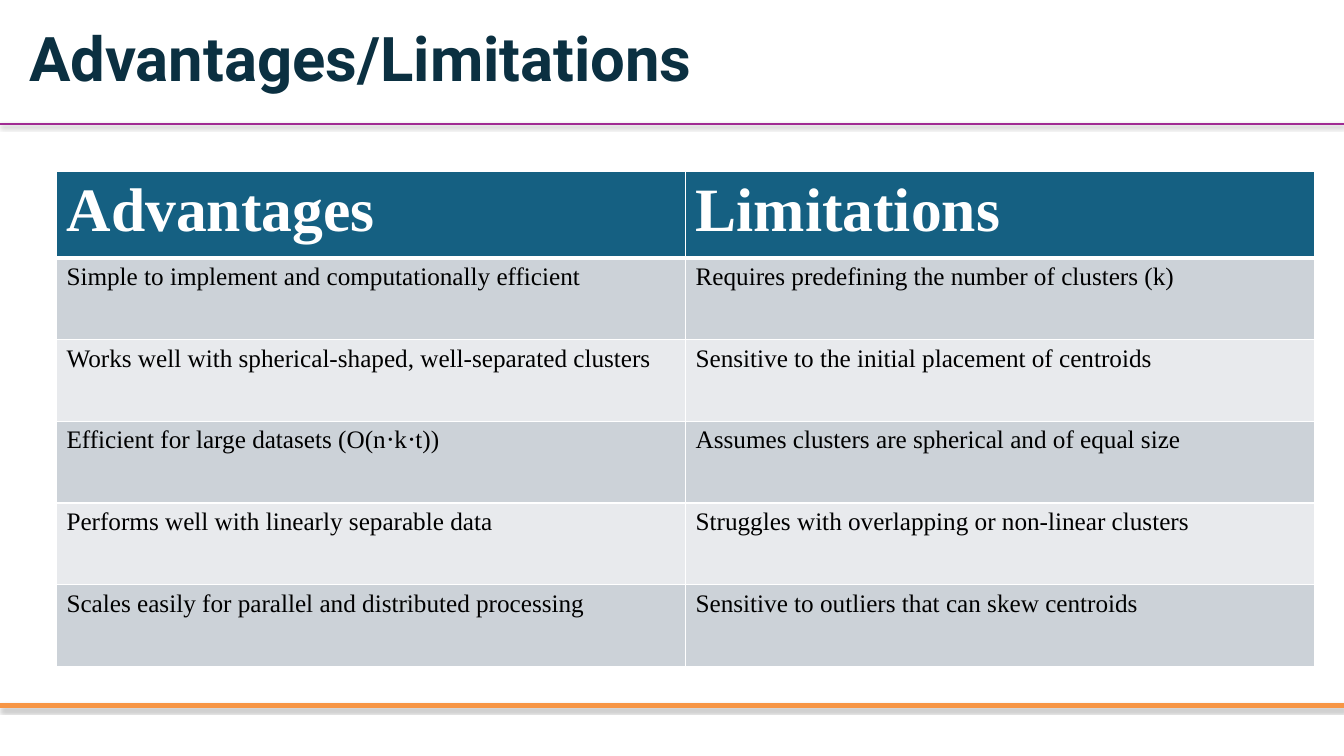
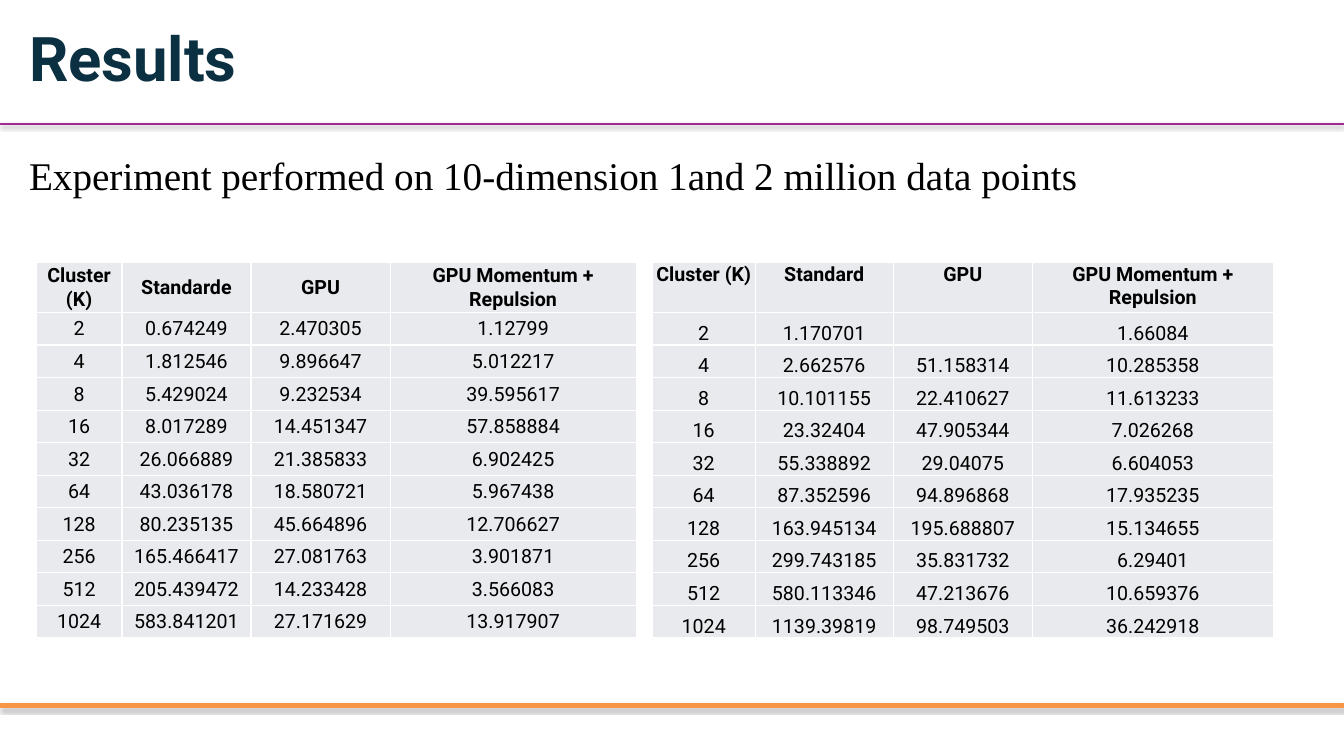
from lxml import etree
from pptx import Presentation
from pptx import util as u
from pptx.dml.color import RGBColor
from pptx.enum import shapes, text
from pptx.oxml import parse_xml
from pptx.oxml.ns import nsdecls, qn

COLORS = {"title": "0B3041", "top rule": "A02B93", "bottom rule": "F79646",
          "header": "156082", "dark row": "CCD2D8", "light row": "E8EAED",
          "white": "FFFFFF", "black": "000000"}
SERIF, SANS = "Times New Roman", "Roboto"

# Rules on every slide: colour, height, width, shadow distance, shadow opacity
RULES = [("top rule", 1.23, 2, 1.6, 38), ("bottom rule", 7, 3, 1.8, 35)]

CENTER = text.PP_ALIGN.CENTER
TOP, MIDDLE, BOTTOM = (text.MSO_ANCHOR.TOP, text.MSO_ANCHOR.MIDDLE,
                       text.MSO_ANCHOR.BOTTOM)


def write(frame, words, size, name, color, bold=False):
    paragraph = frame.paragraphs[0]
    paragraph.text = words
    font = paragraph.font
    font.size, font.name, font.bold = u.Pt(size), name, bold
    font.color.rgb = RGBColor.from_string(COLORS[color])
    return paragraph


def add_grid(slide, left, top, widths, heights, rows, header_line=1):
    """Add an empty-styled table with white borders and return it."""
    table = slide.shapes.add_table(
        len(rows), len(widths), u.Inches(left), u.Inches(top),
        u.Inches(sum(widths)), u.Inches(sum(heights))).table
    table.horz_banding = False
    for column, width in zip(table.columns, widths):
        column.width = u.Inches(width)
    for index, (row, height) in enumerate(zip(table.rows, heights)):
        row.height = u.Inches(height)
        for cell in row.cells:
            properties = cell._tc.get_or_add_tcPr()
            for side in ("lnL", "lnR", "lnT", "lnB"):
                under_header = (index, side) in ((0, "lnB"), (1, "lnT"))
                width = header_line if under_header else 1
                line = etree.SubElement(properties, qn("a:" + side), w=str(u.Pt(width)))
                fill = etree.SubElement(line, qn("a:solidFill"))
                etree.SubElement(fill, qn("a:srgbClr"), val=COLORS["white"])
    return table


presentation = Presentation()
presentation.slide_width = u.Inches(13.33)
presentation.slide_height = u.Inches(7.5)

# Slides with their shared rules and titles
slides = []
for title in ("Advantages/Limitations", "Results"):
    slide = presentation.slides.add_slide(presentation.slide_layouts[6])
    slides.append(slide)
    for color, height, width, distance, opacity in RULES:
        rule = slide.shapes.add_connector(
            shapes.MSO_CONNECTOR.STRAIGHT, 0, u.Inches(height),
            presentation.slide_width, u.Inches(height))
        rule.line.color.rgb = RGBColor.from_string(COLORS[color])
        rule.line.width = u.Pt(width)
        rule._element.spPr.append(parse_xml(
            f'<a:effectLst {nsdecls("a")}><a:outerShdw blurRad="{u.Pt(3.1)}" '
            f'dist="{u.Pt(distance)}" dir="5400000" rotWithShape="0">'
            f'<a:srgbClr val="{COLORS["black"]}"><a:alpha val="{opacity * 1000}"/>'
            '</a:srgbClr></a:outerShdw></a:effectLst>'))
    frame = slide.shapes.add_textbox(
        u.Inches(0.19), u.Inches(0.09), u.Inches(8.24), u.Inches(1.05)).text_frame
    frame.word_wrap = True
    frame.vertical_anchor = MIDDLE
    write(frame, title, 44, SANS, "title", True).line_spacing = 0.9
comparison_slide, results_slide = slides

# Advantages and limitations
comparison = [
    ("Advantages", "Limitations"),
    ("Simple to implement and computationally efficient",
     "Requires predefining the number of clusters (k)"),
    ("Works well with spherical-shaped, well-separated clusters",
     "Sensitive to the initial placement of centroids"),
    ("Efficient for large datasets (O(n⋅k⋅t))",
     "Assumes clusters are spherical and of equal size"),
    ("Performs well with linearly separable data",
     "Struggles with overlapping or non-linear clusters"),
    ("Scales easily for parallel and distributed processing",
     "Sensitive to outliers that can skew centroids"),
]
table = add_grid(comparison_slide, 0.56, 1.7, [6.24] * 2, [0.86] + [0.81] * 5,
                 comparison, header_line=3)
for row_index, row in enumerate(comparison):
    for column_index, words in enumerate(row):
        cell = table.cell(row_index, column_index)
        cell.fill.solid()
        if row_index == 0:
            fill = "header"
            write(cell.text_frame, words, 44, SERIF, "white", True)
        else:
            fill = "dark row" if row_index % 2 else "light row"
            write(cell.text_frame, words, 18, SERIF, "black")
        cell.fill.fore_color.rgb = RGBColor.from_string(COLORS[fill])

# Experiment summary
frame = results_slide.shapes.add_textbox(
    u.Inches(0.19), u.Inches(1.5), u.Inches(12.84), u.Inches(5.24)).text_frame
frame.word_wrap = True
write(frame, "Experiment performed on 10-dimension 1and 2 million data points",
      28, SERIF, "black").line_spacing = 0.9

# Timings for one and two million points
one_million = [
    ("Cluster (K)", "Standarde", "GPU", "GPU Momentum + Repulsion"),
    ("2", "0.674249", "2.470305", "1.12799"),
    ("4", "1.812546", "9.896647", "5.012217"),
    ("8", "5.429024", "9.232534", "39.595617"),
    ("16", "8.017289", "14.451347", "57.858884"),
    ("32", "26.066889", "21.385833", "6.902425"),
    ("64", "43.036178", "18.580721", "5.967438"),
    ("128", "80.235135", "45.664896", "12.706627"),
    ("256", "165.466417", "27.081763", "3.901871"),
    ("512", "205.439472", "14.233428", "3.566083"),
    ("1024", "583.841201", "27.171629", "13.917907"),
]
two_million = [
    ("Cluster (K)", "Standard", "GPU", "GPU Momentum + Repulsion"),
    ("2", "1.170701", "", "1.66084"),
    ("4", "2.662576", "51.158314", "10.285358"),
    ("8", "10.101155", "22.410627", "11.613233"),
    ("16", "23.32404", "47.905344", "7.026268"),
    ("32", "55.338892", "29.04075", "6.604053"),
    ("64", "87.352596", "94.896868", "17.935235"),
    ("128", "163.945134", "195.688807", "15.134655"),
    ("256", "299.743185", "35.831732", "6.29401"),
    ("512", "580.113346", "47.213676", "10.659376"),
    ("1024", "1139.39819", "98.749503", "36.242918"),
]
timings = [
    (0.36, [0.85, 1.28, 1.38, 2.44], one_million, MIDDLE, MIDDLE),
    (6.47, [1.02, 1.37, 1.38, 2.39], two_million, TOP, BOTTOM),
]
row_heights = [0.5] + [(3.73 - 0.5) / 10] * 10
for left, widths, rows, header_anchor, body_anchor in timings:
    table = add_grid(results_slide, left, 2.6, widths, row_heights, rows)
    for row_index, row in enumerate(rows):
        is_header = row_index == 0
        for column_index, words in enumerate(row):
            cell = table.cell(row_index, column_index)
            cell.fill.solid()
            cell.fill.fore_color.rgb = RGBColor.from_string(COLORS["light row"])
            cell.margin_left = cell.margin_right = cell.margin_top = u.Inches(0.01)
            cell.margin_bottom = 0
            cell.vertical_anchor = header_anchor if is_header else body_anchor
            write(cell.text_frame, words, 14, SANS, "black", is_header).alignment = CENTER

presentation.save("out.pptx")
